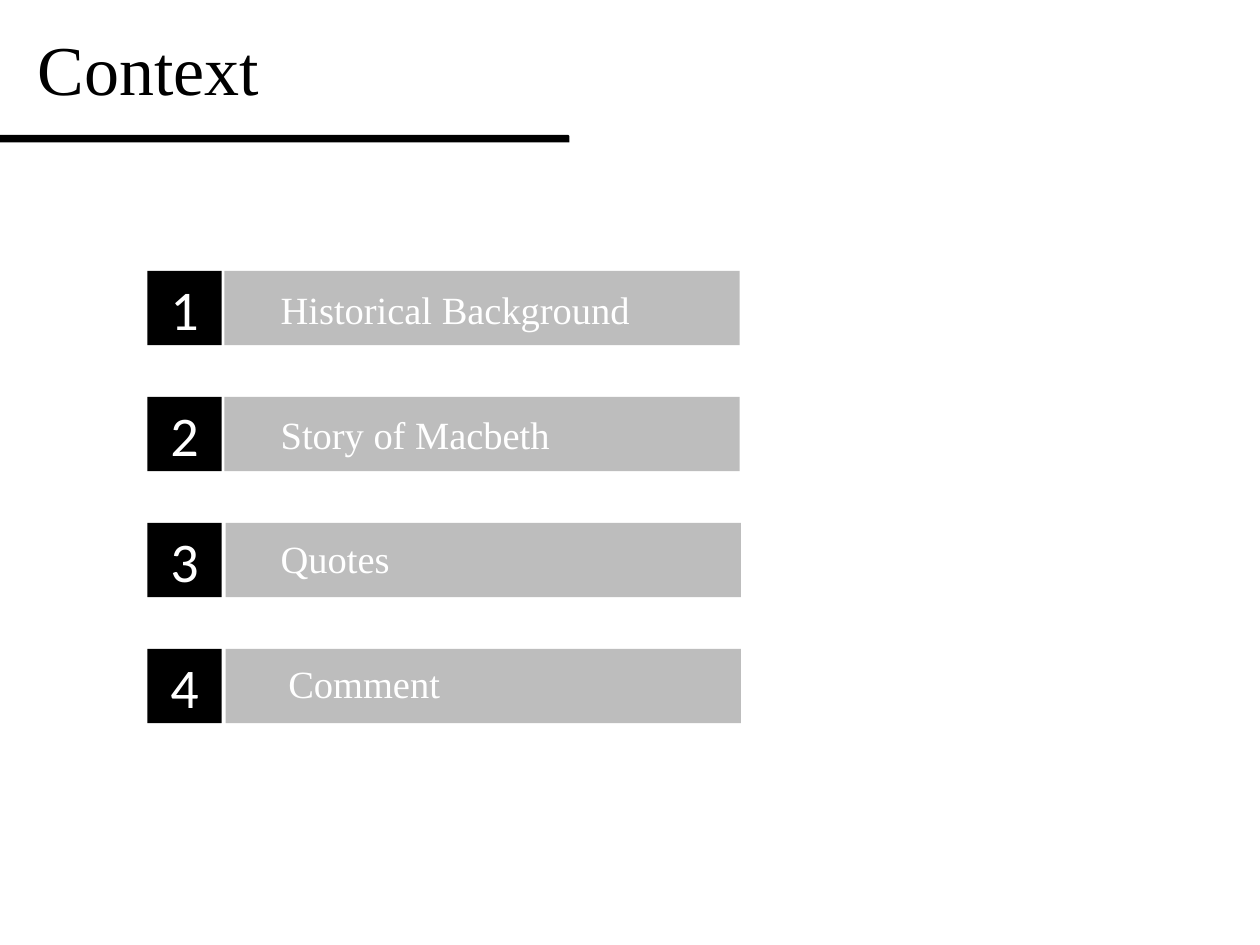
from dataclasses import dataclass

from pptx import Presentation
from pptx.dml.color import RGBColor as Rgb
from pptx.enum.shapes import MSO_SHAPE as Geo
from pptx.enum.text import MSO_ANCHOR as Anchor, MSO_AUTO_SIZE as Fit, PP_ALIGN as Align
from pptx.shapes.autoshape import Shape
from pptx.slide import Slide
from pptx.text.text import TextFrame
from pptx.util import Inches, Pt


@dataclass(frozen=True)
class Theme:
    black: Rgb = Rgb(0x00, 0x00, 0x00)
    white: Rgb = Rgb(0xFF, 0xFF, 0xFF)
    grey: Rgb = Rgb(0xBD, 0xBD, 0xBD)
    serif: str = "Times New Roman"
    sans: str = "Calibri"
    title: int = 40
    digit: int = 32
    label: int = 22


@dataclass(frozen=True)
class Box:
    left: float
    top: float
    width: float
    height: float

    def lengths(self) -> tuple:
        return tuple(map(Inches, (self.left, self.top, self.width, self.height)))


@dataclass(frozen=True)
class Topic:
    text: str
    bar_left: float
    text_left: float
    text_width: float


THEME = Theme()
TOPICS = (
    Topic("Historical Background", 1.78, 2.13, 3.0),
    Topic("Story of Macbeth", 1.78, 2.13, 2.36),
    Topic("Quotes", 1.79, 2.13, 1.07),
    Topic("Comment", 1.79, 2.19, 1.42),
)
TOP = 2.15
PITCH = 1.0
SIDE = 0.59
TILE_LEFT = 1.17
BAR_WIDTH = 4.09
LABEL_TOP = 2.22
LABEL_PITCH = 0.99


def add_block(slide: Slide, geo: Geo, box: Box, fill: Rgb) -> Shape:
    shape = slide.shapes.add_shape(geo, *box.lengths())
    shape.shadow.inherit = False
    shape.fill.solid()
    shape.fill.fore_color.rgb = fill
    shape.line.fill.background()
    return shape


def write(frame: TextFrame, text: str, face: str, size: int, color: Rgb,
          align: Align = Align.LEFT) -> None:
    par = frame.paragraphs[0]
    par.alignment = align
    run = par.add_run()
    run.text = text
    run.font.name = face
    run.font.size = Pt(size)
    run.font.color.rgb = color


def set_line(frame: TextFrame) -> None:
    """Keep the text on one line, at the top of a box that grows with it."""
    frame.word_wrap = False
    frame.auto_size = Fit.SHAPE_TO_FIT_TEXT
    frame.vertical_anchor = Anchor.TOP


def add_title(slide: Slide, text: str) -> None:
    title = slide.shapes.title
    title.left, title.top, title.width, title.height = Box(0.2, 0.15, 1.98, 0.77).lengths()
    set_line(title.text_frame)
    write(title.text_frame, text, THEME.serif, THEME.title, THEME.black)


def add_rule(slide: Slide) -> None:
    rule = add_block(slide, Geo.ROUND_1_RECTANGLE, Box(-0.04, 1.07, 4.56, 0.06), THEME.black)
    rule.adjustments[0] = 0.25


def add_topic(slide: Slide, index: int, topic: Topic) -> None:
    top = TOP + index * PITCH
    add_block(slide, Geo.RECTANGLE, Box(topic.bar_left, top, BAR_WIDTH, SIDE), THEME.grey)

    tile = add_block(slide, Geo.RECTANGLE, Box(TILE_LEFT, top, SIDE, SIDE), THEME.black)
    tile.text_frame.vertical_anchor = Anchor.MIDDLE
    write(tile.text_frame, str(index + 1), THEME.sans, THEME.digit, THEME.white, Align.CENTER)

    box = Box(topic.text_left, LABEL_TOP + index * LABEL_PITCH, topic.text_width, 0.47)
    label = slide.shapes.add_textbox(*box.lengths())
    set_line(label.text_frame)
    write(label.text_frame, topic.text, THEME.serif, THEME.label, THEME.white)


def main() -> None:
    deck = Presentation()
    deck.slide_width, deck.slide_height = Inches(10), Inches(7.5)
    slide = deck.slides.add_slide(deck.slide_layouts[5])
    add_title(slide, "Context")
    add_rule(slide)
    for index, topic in enumerate(TOPICS):
        add_topic(slide, index, topic)
    deck.save("out.pptx")


if __name__ == "__main__":
    main()
